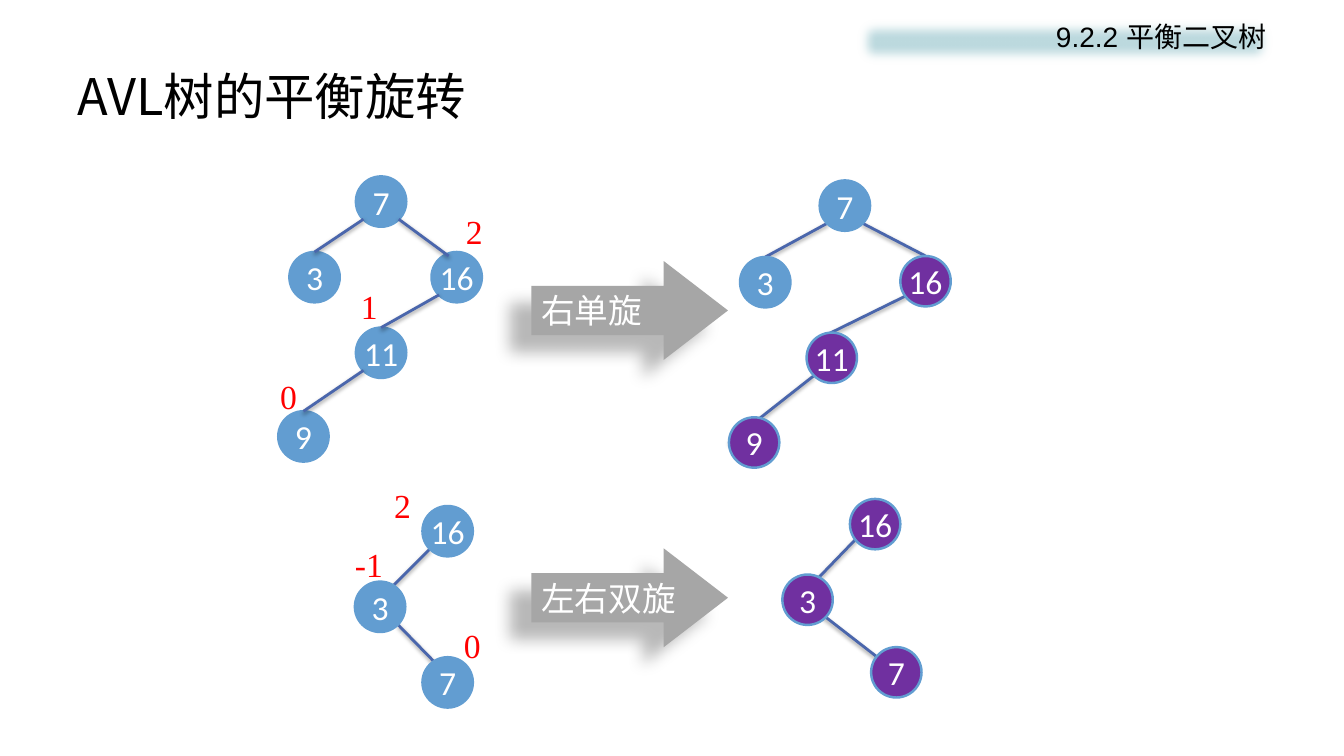
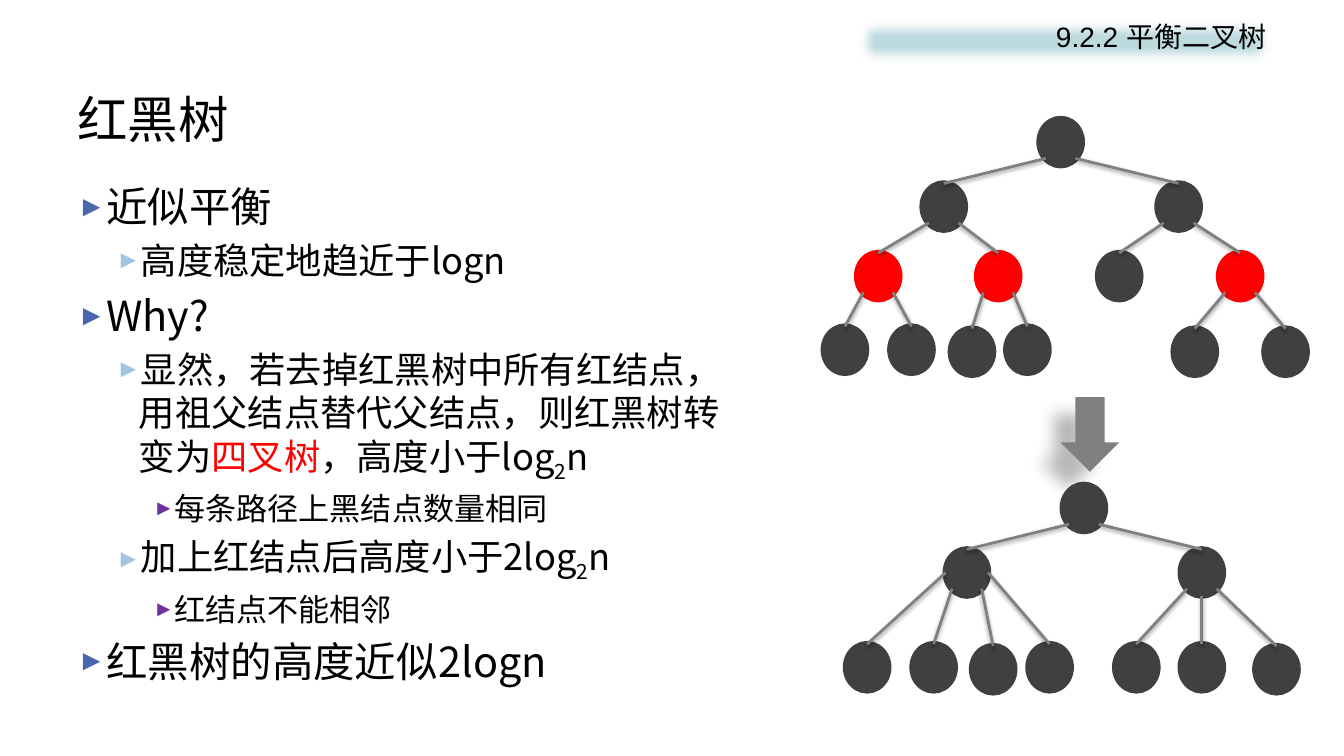
from collections import namedtuple

from lxml.etree import SubElement
from pptx import Presentation
from pptx.dml.color import RGBColor
from pptx.enum.shapes import MSO_CONNECTOR as Connector, MSO_SHAPE as Preset
from pptx.enum.text import MSO_ANCHOR as Anchor, PP_ALIGN as Align
from pptx.oxml.ns import qn
from pptx.util import Inches, Pt

# Colours
BLACK = RGBColor(0x00, 0x00, 0x00)
WHITE = RGBColor(0xFF, 0xFF, 0xFF)
RED = RGBColor(0xFF, 0x00, 0x00)
BLUE = RGBColor(0x62, 0x9D, 0xD1)
PURPLE = RGBColor(0x70, 0x30, 0xA0)
DARK = RGBColor(0x40, 0x40, 0x40)
GREY = RGBColor(0x80, 0x80, 0x80)
ARROW_GREY = RGBColor(0xA6, 0xA6, 0xA6)
EDGE_BLUE = RGBColor(0x4A, 0x66, 0xAC)
PALE_BLUE = RGBColor(0xA1, 0xC4, 0xE3)
BAND = RGBColor(0xBD, 0xDA, 0xDF)

CJK = "Noto Sans CJK SC"

# Shadows: opacity %, blur pt, distance pt, angle
EDGE_SHADOW = (38, 3.1, 1.6, 90)
ARROW_SHADOW = (28, 11.8, 19.7, 141)

# Outline levels: size pt, left margin, hanging indent, bullet colour
Level = namedtuple("Level", "size margin hang bullet")
LEVELS = [
    Level(29.6, 0.28, 0.28, EDGE_BLUE),
    Level(25.9, 0.61, 0.23, PALE_BLUE),
    Level(22.2, 0.94, 0.19, PURPLE),
]

# Tree styles: node size, outline width pt, edge colour
TreeStyle = namedtuple("TreeStyle", "width height outline edge")
AVL = TreeStyle(0.5, 0.5, 1.75, EDGE_BLUE)
RED_BLACK = TreeStyle(0.42, 0.46, 4.5, GREY)

Node = namedtuple("Node", "left top fill line text", defaults=[""])

# Points of a node as fractions of its width and height
TOP, LEFT, BOTTOM, RIGHT = (0.5, 0), (0, 0.5), (0.5, 1), (1, 0.5)
LOWER_LEFT, LOWER_RIGHT = (0.15, 0.85), (0.85, 0.85)


# Text
def add_span(para, text, size, font, color, baseline=0):
    span = para.add_run()
    span.text = text
    span.font.size = Pt(size)
    span.font.name = font
    span.font.color.rgb = color
    props = span.font._element
    SubElement(props, qn("a:ea"), typeface=CJK)
    if baseline:
        props.set("baseline", str(baseline * 1000))


def add_text(page, left, top, width, height, wrap=True, inset=True):
    box = page.shapes.add_textbox(Inches(left), Inches(top), Inches(width), Inches(height))
    frame = box.text_frame
    frame.word_wrap = wrap
    if not inset:
        frame.margin_left = frame.margin_right = 0
        frame.margin_top = frame.margin_bottom = 0
    return frame


def add_bullet(para, level):
    props = para._p.get_or_add_pPr()
    props.set("marL", str(Inches(level.margin)))
    props.set("indent", str(-Inches(level.hang)))
    color = SubElement(props, qn("a:buClr"))
    SubElement(color, qn("a:srgbClr"), val=str(level.bullet))
    SubElement(props, qn("a:buSzPct"), val="70000")
    SubElement(props, qn("a:buFont"), typeface="Arial")
    SubElement(props, qn("a:buChar"), char="►")


def add_outline(page, items):
    frame = add_text(page, 0.67, 1.75, 6.83, 4.95)
    for index, (depth, *parts) in enumerate(items):
        para = frame.add_paragraph() if index else frame.paragraphs[0]
        level = LEVELS[depth]
        add_bullet(para, level)
        para.level = depth
        if index:
            para.space_before = Pt(round(level.size * 0.2, 1))
        for part in parts:
            text, color, baseline = part if isinstance(part, tuple) else (part, BLACK, 0)
            add_span(para, text, level.size, CJK, color, baseline)


# Shapes
def add_preset(shapes, preset, left, top, width, height, fill):
    shape = shapes.add_shape(preset, Inches(left), Inches(top), Inches(width), Inches(height))
    shape.shadow.inherit = False
    shape.fill.solid()
    shape.fill.fore_color.rgb = fill
    shape.line.fill.background()
    return shape


def add_shadow(effects, opacity, blur, distance, angle):
    shadow = SubElement(effects, qn("a:outerShdw"), blurRad=str(Pt(blur)),
                        dist=str(Pt(distance)), dir=str(angle * 60000),
                        algn="ctr", rotWithShape="0")
    color = SubElement(shadow, qn("a:srgbClr"), val=str(BLACK))
    SubElement(color, qn("a:alpha"), val=str(opacity * 1000))


def add_arrow(page, preset, left, top, width, height, fill, text=""):
    arrow = add_preset(page.shapes, preset, left, top, width, height, fill)
    add_shadow(arrow._element.spPr.find(qn("a:effectLst")), *ARROW_SHADOW)
    if text:
        arrow.adjustments[1] = 0.65
        frame = arrow.text_frame
        frame.word_wrap = False
        frame.vertical_anchor = Anchor.MIDDLE
        frame.paragraphs[0].alignment = Align.LEFT
        add_span(frame.paragraphs[0], text, 24, "Arial", WHITE)


def add_balance(page, left, top, text):
    width = 0.17 if len(text) == 1 else 0.28
    frame = add_text(page, left, top, width, 0.4, wrap=False, inset=False)
    add_span(frame.paragraphs[0], text, 24, "Times New Roman", RED)


# Trees
def add_node(shapes, style, node):
    shape = add_preset(shapes, Preset.OVAL, node.left, node.top,
                       style.width, style.height, node.fill)
    shape.line.color.rgb = node.line
    shape.line.width = Pt(style.outline)
    if node.text:
        frame = shape.text_frame
        frame.word_wrap = False
        frame.vertical_anchor = Anchor.MIDDLE
        frame.paragraphs[0].alignment = Align.CENTER
        add_span(frame.paragraphs[0], node.text, 24, "Calibri", WHITE)


def add_edge(shapes, style, parent, child, start=None, end=TOP):
    if start is None:
        start = LOWER_LEFT if child.left < parent.left else LOWER_RIGHT
    ends = [Inches(value) for node, (across, down) in ((parent, start), (child, end))
            for value in (node.left + across * style.width, node.top + down * style.height)]
    edge = shapes.add_connector(Connector.STRAIGHT, *ends)
    edge.line.color.rgb = style.edge
    edge.line.width = Pt(2)
    add_shadow(SubElement(edge._element.spPr, qn("a:effectLst")), *EDGE_SHADOW)


def add_tree(page, style, nodes, edges, edges_behind=False):
    shapes = page.shapes.add_group_shape().shapes

    def draw_edges():
        for parent, child, *points in edges:
            add_edge(shapes, style, nodes[parent], nodes[child], *points)

    if edges_behind:
        draw_edges()
    for node in nodes:
        add_node(shapes, style, node)
    if not edges_behind:
        draw_edges()


def blue(left, top, text):
    return Node(left, top, BLUE, BLUE, text)


def purple(left, top, text):
    return Node(left, top, PURPLE, BLUE, text)


def black(left, top):
    return Node(left, top, DARK, DARK)


def red(left, top):
    return Node(left, top, RED, RED)


# Title and section band of every slide
def add_page(deck, title, title_top):
    page = deck.slides.add_slide(deck.slide_layouts[6])
    frame = add_text(page, 0.67, title_top, 12, 0.75)
    frame.vertical_anchor = Anchor.MIDDLE
    add_span(frame.paragraphs[0], title, 36, CJK, BLACK)

    band = add_preset(page.shapes, Preset.RECTANGLE, 8.46, 0.14, 4.2, 0.54, BAND)
    SubElement(band._element.spPr.find(qn("a:effectLst")), qn("a:softEdge"), rad="112500")
    band.text_frame.vertical_anchor = Anchor.TOP
    para = band.text_frame.paragraphs[0]
    para.alignment = Align.RIGHT
    add_span(para, "9.2.2 平衡二叉树", 20, "Arial", BLACK)
    return page


def build_rotations(deck):
    page = add_page(deck, "AVL树的平衡旋转", 0.57)

    # Right rotation
    add_tree(page, AVL,
             [blue(3.53, 1.75, "7"), blue(2.87, 2.5, "3"), blue(4.28, 2.5, "16"),
              blue(3.53, 3.25, "11"), blue(2.76, 4.08, "9")],
             [(0, 1), (0, 2, LOWER_RIGHT, (0.34, 0.08)), (2, 3), (3, 4)])
    add_arrow(page, Preset.RIGHT_ARROW, 5.27, 2.59, 1.95, 0.98, ARROW_GREY, "右单旋")
    add_tree(page, AVL,
             [blue(8.13, 1.79, "7"), blue(7.34, 2.55, "3"), purple(8.93, 2.54, "16"),
              purple(8, 3.3, "11"), purple(7.23, 4.14, "9")],
             [(0, 1), (0, 2), (2, 3, (0.7, 0.5), (0.16, 0.16)), (3, 4, LOWER_LEFT, LEFT)],
             edges_behind=True)

    # Left-right rotation
    add_tree(page, AVL,
             [blue(4.19, 5.02, "16"), blue(3.52, 5.77, "3"), blue(4.19, 6.52, "7")],
             [(0, 1, LOWER_LEFT, (0.66, 0.18)), (1, 2, LOWER_RIGHT, (0.32, 0.18))],
             edges_behind=True)
    add_arrow(page, Preset.RIGHT_ARROW, 5.27, 5.44, 1.95, 0.98, ARROW_GREY, "左右双旋")
    add_tree(page, AVL,
             [purple(8.43, 4.95, "16"), purple(7.76, 5.7, "3"), purple(8.64, 6.42, "7")],
             [(0, 1, (0.5, 0.4), (0.16, 0.64)), (1, 2, (0.44, 0.52), (0.46, 0.46))],
             edges_behind=True)

    # Balance factors
    for left, top, text in [(4.62, 2.09, "2"), (3.58, 2.84, "1"), (2.78, 3.73, "0"),
                            (3.91, 4.81, "2"), (3.52, 5.4, "-1"), (4.6, 6.2, "0")]:
        add_balance(page, left, top, text)


def build_red_black(deck):
    page = add_page(deck, "红黑树", 0.8)
    subscript = ("2", BLACK, -25)
    add_outline(page, [
        (0, "近似平衡"),
        (1, "高度稳定地趋近于logn"),
        (0, "Why?"),
        (1, "显然，若去掉红黑树中所有红结点，用祖父结点替代父结点，则红黑树转变为",
         ("四叉树", RED, 0), "，高度小于log", subscript, "n"),
        (2, "每条路径上黑结点数量相同"),
        (1, "加上红结点后高度小于2log", subscript, "n"),
        (2, "红结点不能相邻"),
        (0, "红黑树的高度近似2logn"),
    ])

    # Red-black tree
    add_tree(page, RED_BLACK,
             [black(10.31, 1.18), black(9.15, 1.82), black(11.48, 1.82),
              red(8.5, 2.51), red(9.69, 2.51), black(10.89, 2.51), red(12.09, 2.51),
              black(8.17, 3.24), black(8.83, 3.24), black(9.43, 3.26),
              black(9.98, 3.24), black(11.64, 3.26), black(12.54, 3.26)],
             [(0, 1), (0, 2), (1, 3), (1, 4), (2, 5), (2, 6),
              (3, 7), (3, 8), (4, 9), (4, 10), (6, 11), (6, 12)])
    add_arrow(page, Preset.DOWN_ARROW, 10.52, 3.94, 0.58, 0.74, GREY)

    # Tree without red nodes
    add_tree(page, RED_BLACK,
             [black(10.54, 4.81), black(9.38, 5.45), black(11.71, 5.45),
              black(8.39, 6.39), black(9.05, 6.39), black(9.64, 6.41), black(10.2, 6.39),
              black(11.06, 6.39), black(11.71, 6.39), black(12.45, 6.41)],
             [(0, 1), (0, 2), (1, 3, LEFT), (1, 4), (1, 5), (1, 6, RIGHT),
              (2, 7), (2, 8, BOTTOM), (2, 9)])


def main():
    deck = Presentation()
    deck.slide_width, deck.slide_height = Inches(13.33), Inches(7.5)
    build_rotations(deck)
    build_red_black(deck)
    deck.save("out.pptx")


if __name__ == "__main__":
    main()
